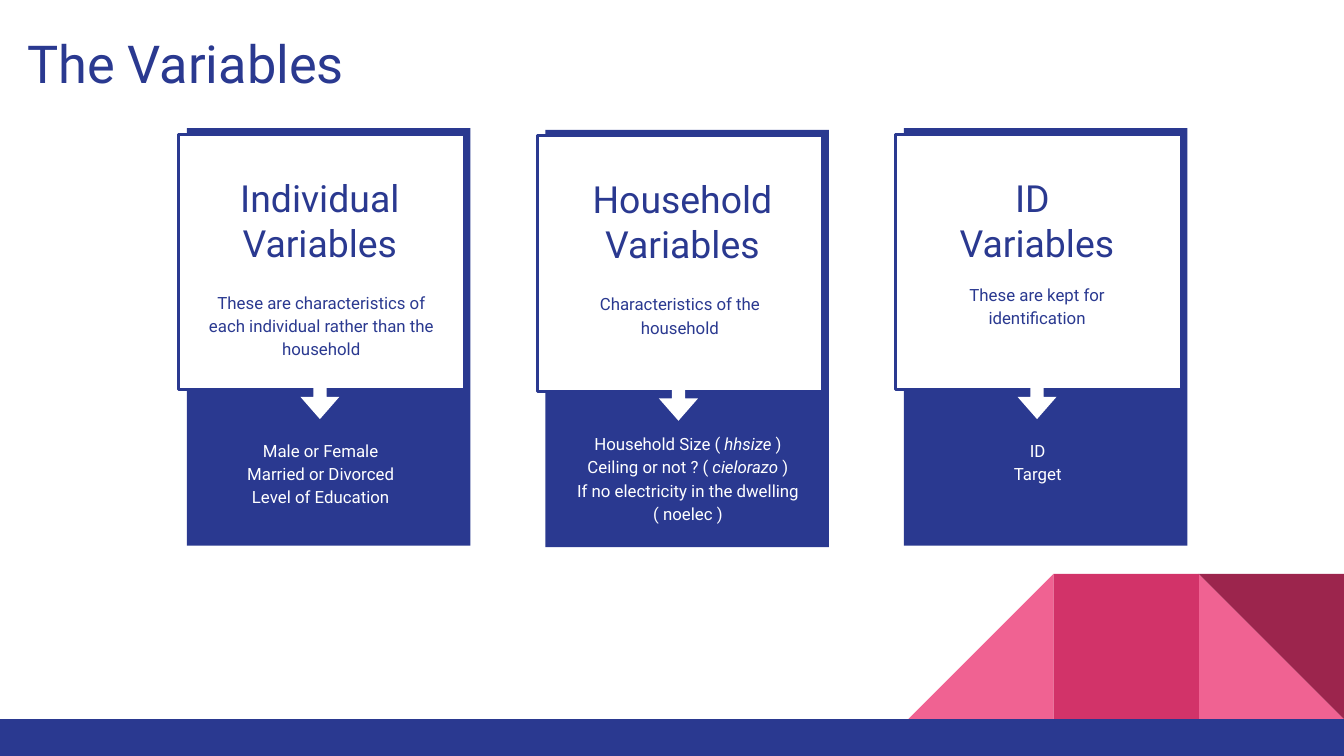
from pptx import Presentation
from pptx.dml.color import RGBColor
from pptx.enum.shapes import MSO_SHAPE as Shape
from pptx.enum.text import MSO_ANCHOR as Anchor, PP_ALIGN as Align
from pptx.util import Inches, Pt

# The slide is a grid of square cells: 100 columns by 56.25 rows.
CELL = Inches(0.1)
COLUMNS, ROWS = 100, 56.25

COLORS = {
    "navy": "2A3990",
    "white": "FFFFFF",
    "pink": "F06292",
    "rose": "D23369",
    "wine": "9C254D",
}
FRAME = {
    "margin_left": CELL, "margin_right": CELL,
    "margin_top": CELL, "margin_bottom": CELL,
    "word_wrap": True, "vertical_anchor": Anchor.TOP,
}
STYLES = {
    "title": {"size": 28, "color": "navy", "align": Align.LEFT, "spacing": 1.0},
    "heading": {"size": 20, "color": "navy", "align": Align.CENTER, "spacing": 1.0},
    "summary": {"size": 9, "color": "navy", "align": Align.CENTER, "spacing": 1.15},
    "details": {"size": 9, "color": "white", "align": Align.CENTER, "spacing": 1.15},
}

# Positions are (column, row, columns, rows), measured from the card's corner.
# Asterisks enclose italic words.
CARD_LEFT, CARD_STEP = 13.9, 26.68
CARDS = [
    {
        "top": 9.54,
        "heading": ((0.5, 2.5, 18.8, 4.6), ["Individual Variables"]),
        "summary": ((0.6, 11, 18.8, 6.3), [
            "These are characteristics of each individual rather than the household"]),
        "details": ((-0.6, 22, 21.1, 8.3), [
            "Male or Female", "Married or Divorced", "Level of Education"]),
    },
    {
        "top": 9.66,
        "heading": ((0.8, 2.45, 18.8, 4.6), ["Household Variables"]),
        "summary": ((0.6, 11, 18.8, 6.3), ["Characteristics of the household"]),
        "details": ((0.6, 21.4, 20, 8.3), [
            "Household Size ( *hhsize *)", "Ceiling or not ? ( *cielorazo* )",
            "If no electricity in the dwelling ( noelec )"]),
    },
    {
        "top": 9.54,
        "heading": ((0.5, 2.5, 18.8, 4.6), ["ID ", "Variables"]),
        "summary": ((0.5, 10.4, 18.8, 6.3), ["These are kept for identification"]),
        "details": ((-0.6, 22, 21.1, 8.3), ["ID", "Target"]),
    },
]


def color(name):
    return RGBColor.from_string(COLORS[name])


def cells(*counts):
    return [round(count * CELL) for count in counts]


def apply(target, values):
    for name, value in values.items():
        setattr(target, name, value)


def add_block(page, kind, area, fill, outline=None):
    block = page.shapes.add_shape(kind, *cells(*area))
    block.shadow.inherit = False
    block.fill.solid()
    block.fill.fore_color.rgb = color(fill)
    if outline:
        block.line.color.rgb = color(outline)
        block.line.width = Pt(1.5)
    else:
        block.line.fill.background()
    return block


def write(box, lines, style):
    look = STYLES[style]
    frame = box.text_frame
    apply(frame, FRAME)
    for index, line in enumerate(lines):
        para = frame.paragraphs[0] if index == 0 else frame.add_paragraph()
        apply(para, {"alignment": look["align"], "line_spacing": look["spacing"]})
        for part, text in enumerate(line.split("*")):
            span = para.add_run()
            span.text = text
            apply(span.font, {"name": "Roboto", "size": Pt(look["size"]),
                              "bold": False, "italic": part % 2 == 1})
            span.font.color.rgb = color(look["color"])


def add_title(page, text):
    title = page.shapes.title
    left, top, width, height = cells(1.04, 1.3, 93.2, 6.6)
    apply(title, {"left": left, "top": top, "width": width, "height": height})
    write(title, [text], "title")


def add_decoration(page):
    side, floor = 10.8, 53.5
    triangle = Shape.RIGHT_TRIANGLE

    def tile(kind, fill, from_right):
        area = (COLUMNS - from_right * side, floor - side, side, side)
        return add_block(page, kind, area, fill)

    tile(triangle, "pink", 1)
    tile(triangle, "pink", 3)._element.spPr.xfrm.set("flipH", "1")
    tile(Shape.RECTANGLE, "rose", 2)
    tile(triangle, "wine", 1).rotation = 180
    add_block(page, Shape.RECTANGLE, (0, floor, COLUMNS, ROWS - floor), "navy")


def add_card(page, left, card):
    top = card["top"]

    def place(column, row, width, height):
        return left + column, top + row, width, height

    add_block(page, Shape.RECTANGLE, place(0, 0, 21.1, 31.06), "navy")
    add_block(page, Shape.RECTANGLE, place(-0.6, 0.45, 21.25, 19), "white", "navy")
    arrow = add_block(page, Shape.RIGHT_ARROW, place(8.4, 18.7, 3, 2.9), "white")
    arrow.rotation = 90
    arrow.adjustments[0], arrow.adjustments[1] = 0.34, 0.57
    for style in ("heading", "summary", "details"):
        area, lines = card[style]
        write(page.shapes.add_textbox(*cells(*place(*area))), lines, style)


def main():
    deck = Presentation()
    deck.slide_width, deck.slide_height = cells(COLUMNS, ROWS)
    page = deck.slides.add_slide(deck.slide_layouts[5])
    add_decoration(page)
    add_title(page, "The Variables")
    for index, card in enumerate(CARDS):
        add_card(page, CARD_LEFT + index * CARD_STEP, card)
    deck.save("out.pptx")


if __name__ == "__main__":
    main()
